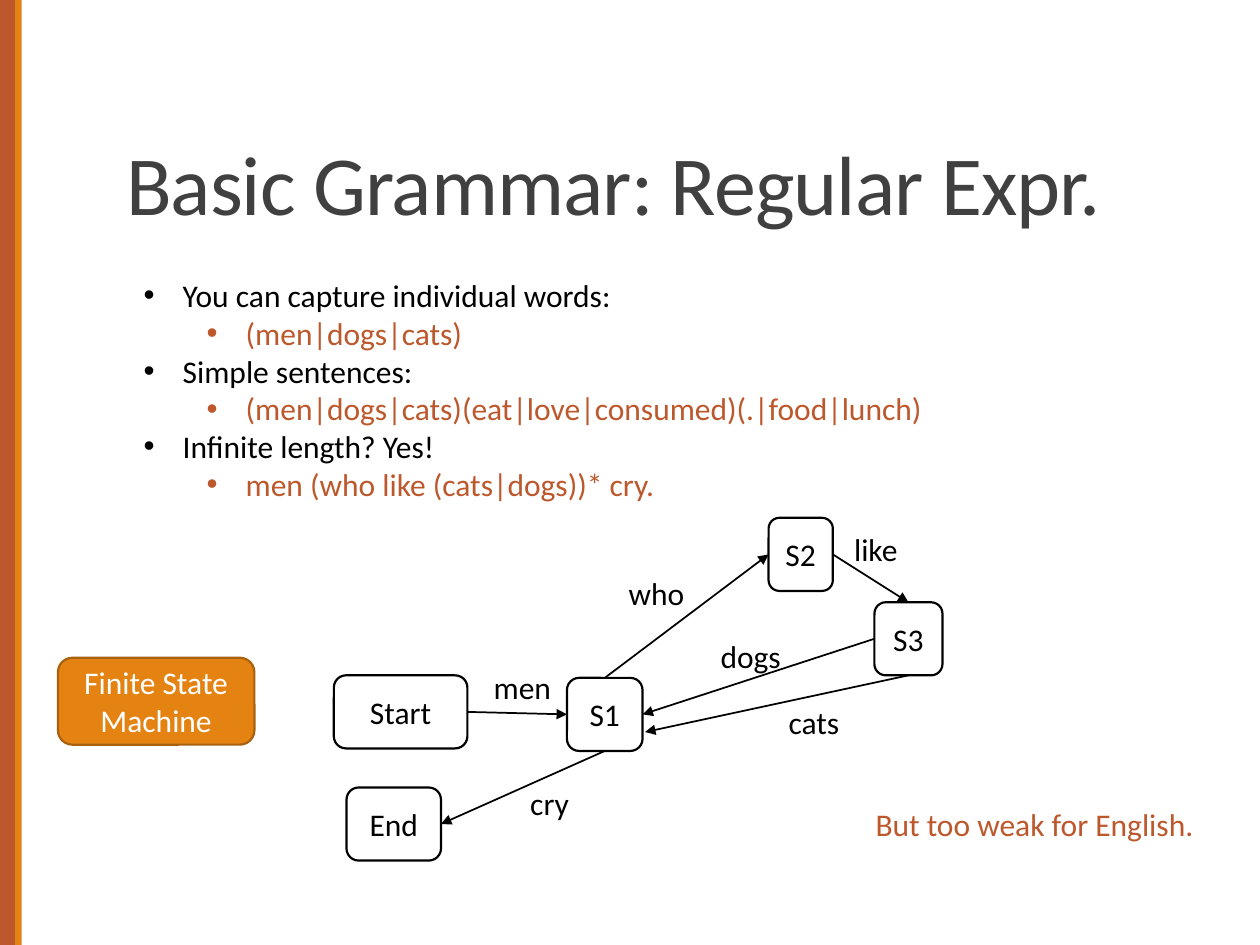
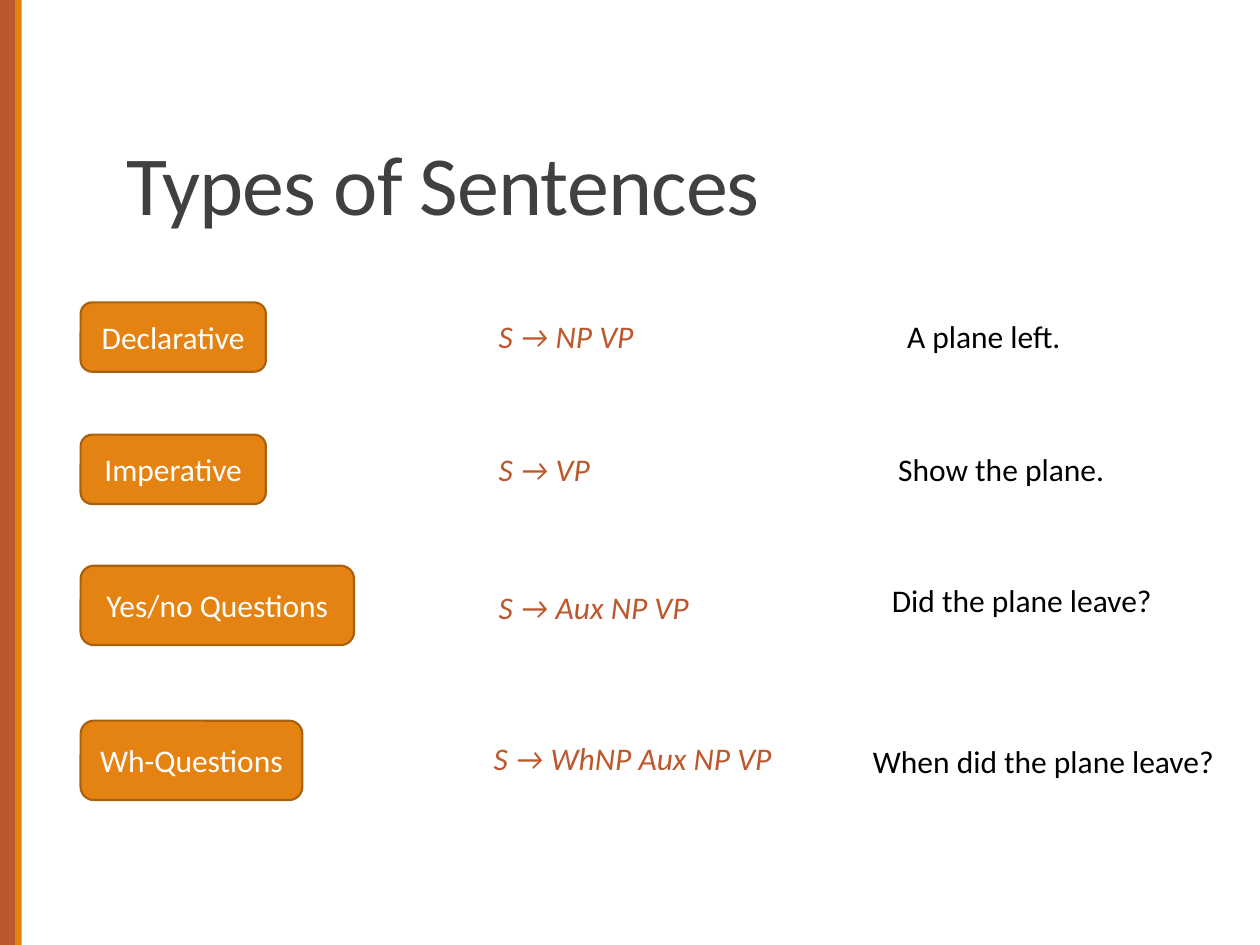
from lxml import etree
from pptx import Presentation
from pptx import util as u
from pptx.dml.color import RGBColor
from pptx.enum import shapes, text
from pptx.oxml.ns import qn

PX = 9144  # 100 px to the inch
COLOURS = {
    "rust": "BD582C", "orange": "E48312", "brown": "A9610D",
    "grey": "404040", "black": "000000", "white": "FFFFFF",
}
RGB = {name: RGBColor.from_string(value) for name, value in COLOURS.items()}
BUTTON = {"fill": "orange", "line": "brown", "colour": "white"}
NODE = {"fill": "white", "line": "black", "colour": "black"}


def write(para, words, colour, size=18, italic=False):
    span = para.add_run()
    span.text = words
    span.font.color.rgb = RGB[colour]
    formats = {"name": "Calibri", "size": u.Pt(size), "italic": italic}
    for name, value in formats.items():
        setattr(span.font, name, value)


def add_box(page, area, words, colour, fill=None, line=None, wrap=True, italic=False):
    """Add a rounded box with centred text, or a plain label when there is no fill."""
    place = [length * PX for length in area]
    if fill:
        box = page.shapes.add_shape(shapes.MSO_SHAPE.ROUNDED_RECTANGLE, *place)
        box.shadow.inherit = False
        box.fill.solid()
        box.fill.fore_color.rgb = RGB[fill]
        box.line.color.rgb = RGB[line]
        box.line.width = u.Pt(1.25)
        box.text_frame.margin_left = box.text_frame.margin_right = 0
        box.text_frame.vertical_anchor = text.MSO_ANCHOR.MIDDLE
        box.text_frame.paragraphs[0].alignment = text.PP_ALIGN.CENTER
    else:
        box = page.shapes.add_textbox(*place)
    box.text_frame.word_wrap = wrap
    write(box.text_frame.paragraphs[0], words, colour, italic=italic)
    return box


deck = Presentation()
deck.slide_width, deck.slide_height = 1000 * PX, 750 * PX

# Pages and titles
pages = []
for layout, heading in [(1, "Basic Grammar: Regular Expr."), (5, "Types of Sentences")]:
    page = deck.slides.add_slide(deck.slide_layouts[layout])
    title = page.shapes.title
    title.left, title.top, title.width, title.height = [v * PX for v in (90, 31, 825, 159)]
    title.text_frame.vertical_anchor = text.MSO_ANCHOR.BOTTOM
    title.text_frame.auto_size = text.MSO_AUTO_SIZE.NONE
    para = title.text_frame.paragraphs[0]
    para.alignment = text.PP_ALIGN.LEFT
    para.line_spacing = 0.85
    write(para, heading, "grey", 48)
    title.element.xpath(".//a:rPr")[0].set("spc", "-50")
    pages.append(page)
grammar, sentences = pages

# Side bands, moved to the master so that every page has them
master_tree = deck.slide_master.shapes.element
for order, (left, width, colour) in enumerate([(0, 17, "rust"), (12, 5, "orange")]):
    band = grammar.shapes.add_shape(
        shapes.MSO_SHAPE.RECTANGLE, left * PX, 0, width * PX, deck.slide_height)
    band.shadow.inherit = False
    band.fill.solid()
    band.fill.fore_color.rgb = RGB[colour]
    band.line.fill.background()
    band.element.xpath(".//p:cNvPr")[0].set("id", str(101 + order))
    master_tree.insert(2 + order, band.element)

# Slide 1: list of patterns
patterns = [
    ("You can capture individual words:", "(men|dogs|cats)"),
    ("Simple sentences:", "(men|dogs|cats)(eat|love|consumed)(.|food|lunch)"),
    ("Infinite length? Yes!", "men (who like (cats|dogs))* cry."),
]
body = grammar.placeholders[1]
body.left, body.top, body.width, body.height = [v * PX for v in (104, 214, 796, 192)]
frame = body.text_frame
frame.auto_size = text.MSO_AUTO_SIZE.NONE
items = [(level, words) for pair in patterns for level, words in enumerate(pair)]
for number, (level, words) in enumerate(items):
    para = frame.add_paragraph() if number else frame.paragraphs[0]
    para.level = level
    para.space_before = u.Pt(0)
    para.line_spacing = 1.0
    write(para, words, ("black", "rust")[level])
for props, (level, words) in zip(body.element.xpath(".//a:pPr"), items):
    props.set("marL", str((31 + 50 * level) * PX))
    props.set("indent", str(-31 * PX))
    etree.SubElement(props, qn("a:buFont"), typeface="Arial")
    etree.SubElement(props, qn("a:buChar"), char="•")

# Slide 1: finite state machine
add_box(grammar, (46, 522, 156, 69), "Finite State Machine", **BUTTON)
states = {}
for name, left, top, width in [
    ("Start", 265, 536, 106), ("S1", 450, 538, 60), ("End", 275, 625, 75),
    ("S2", 610, 411, 51), ("S3", 694, 478, 54),
]:
    states[name] = add_box(grammar, (left, top, width, 58), name, **NODE)

TOP, LEFT, BOTTOM, RIGHT = range(4)
moves = [
    ("men", "Start", RIGHT, "S1", LEFT, (382, 525, 66)),
    ("cry", "S1", BOTTOM, "End", RIGHT, (411, 617, 51)),
    ("who", "S1", TOP, "S2", LEFT, (489, 451, 65)),
    ("like", "S2", RIGHT, "S3", TOP, (668, 416, 55)),
    ("dogs", "S3", LEFT, "S1", RIGHT, (562, 501, 69)),
    ("cats", "S3", BOTTOM, None, None, (616, 553, 61)),
]
for word, source, exit_side, target, entry_side, label in moves:
    # The free end, used by "cats", stops just below the "dogs" arrow
    arrow = grammar.shapes.add_connector(
        shapes.MSO_CONNECTOR.STRAIGHT, 0, 0, 512 * PX, 581 * PX)
    arrow.begin_connect(states[source], exit_side)
    if target:
        arrow.end_connect(states[target], entry_side)
    arrow.line.color.rgb = RGB["black"]
    arrow.line.width = u.Pt(1)
    etree.SubElement(arrow.line._get_or_add_ln(), qn("a:tailEnd"), type="triangle")
    etree.SubElement(arrow.element.spPr, qn("a:effectLst"))
    add_box(grammar, (*label, 40), word, "black", wrap=False)

add_box(grammar, (685, 634, 288, 40), "But too weak for English.", "rust")

# Slide 2: kind of sentence, its rule and an example
kinds = [
    ("Declarative", (64, 240, 147, 55),
     "S → NP VP", (386, 247, 131), "A plane left.", (710, 247, 145)),
    ("Imperative", (64, 345, 147, 55),
     "S → VP", (386, 352, 95), "Show the plane.", (703, 352, 242)),
    ("Yes/no Questions", (64, 449, 217, 63),
     "S → Aux NP VP", (386, 462, 175), "Did the plane leave?", (698, 456, 242)),
    ("Wh-Questions", (64, 572, 176, 63),
     "S → WhNP Aux NP VP", (382, 582, 245), "When did the plane leave?", (683, 584, 328)),
]
for kind, kind_area, rule, rule_place, example, example_place in kinds:
    add_box(sentences, kind_area, kind, **BUTTON)
    add_box(sentences, (*rule_place, 40), rule, "rust", wrap=False, italic=True)
    add_box(sentences, (*example_place, 40), example, "black")

deck.save("out.pptx")
